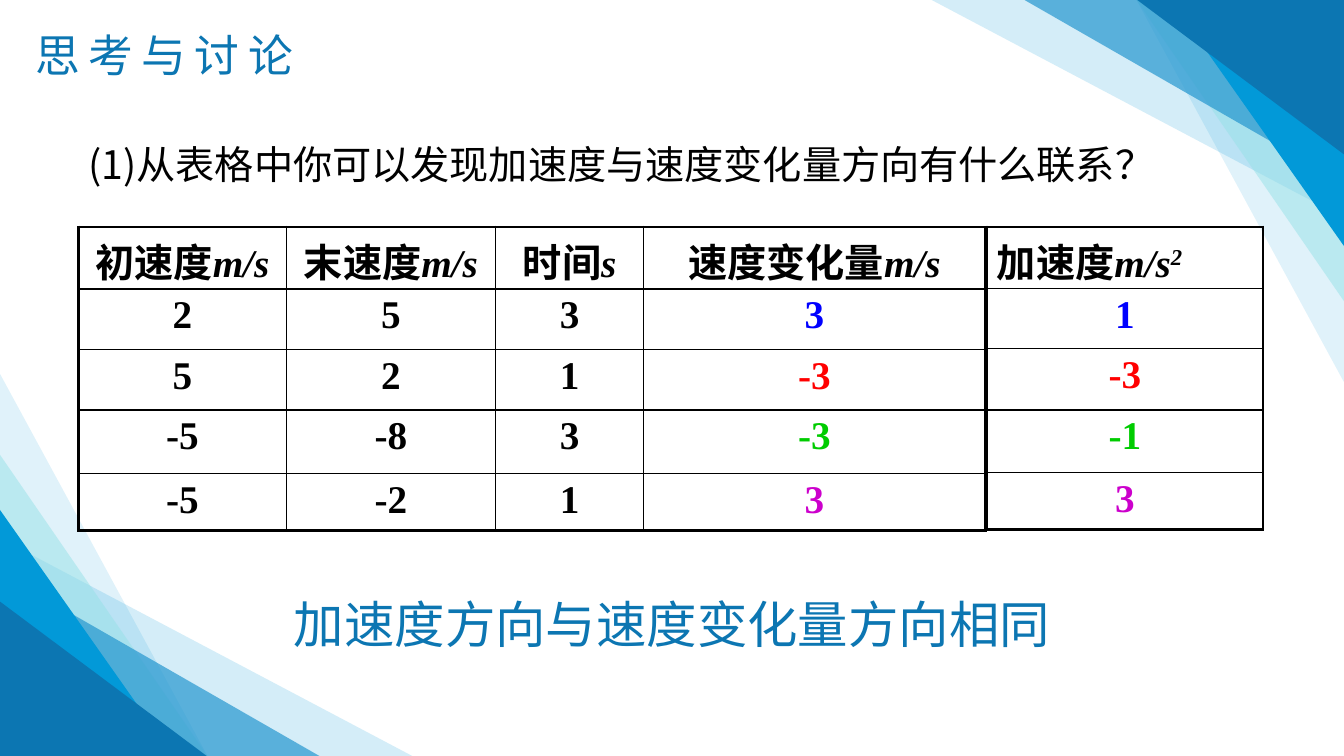
from lxml import etree
from pptx import Presentation
from pptx import util as u
from pptx.dml import color
from pptx.enum import shapes, text
from pptx.oxml import ns

SANS, SERIF = "Noto Sans CJK SC", "Times New Roman"
BLACK, BLUE = "000000", "0C76B2"
WIDTH, HEIGHT = 33.87, 19.05
ROW_COLORS = ["0000FF", "FF0000", "00CC00", "CC00CC"]
TRIANGLES = [
    (5.23, 9.63, "0299D8", 12),
    (10.39, 5.49, "0299D8", 17),
    (5.23, 7.59, "95E1E7", 50),
    (8.05, 4.62, "2094CE", 68),
    (4.37, 6.2, "0299D8", 100),
    (5.21, 3.89, BLUE, 100),
]
GIVEN_HEADS = [("初速度", "m/s", ""), ("末速度", "m/s", ""),
               ("时间", "s", ""), ("速度变化量", "m/s", "")]
GIVEN_ROWS = [("2", "5", "3", "3"), ("5", "2", "1", "-3"),
              ("-5", "-8", "3", "-3"), ("-5", "-2", "1", "3")]
ACCELERATION_HEADS = [("加速度", "m/s", "2")]
ACCELERATION_ROWS = [("1",), ("-3",), ("-1",), ("3",)]


def rgb(value):
    """Turn a hex string into a colour."""
    return color.RGBColor.from_string(value)


def add_span(para, words, size=28, font=SANS, tint=BLACK, bold=False,
             italic=False, spacing=0, raised=False):
    """Append formatted text to a paragraph."""
    span = para.add_run()
    span.text = words
    span.font.size = u.Pt(size)
    span.font.name = font
    span.font.bold = bold
    span.font.italic = italic
    span.font.color.rgb = rgb(tint)
    props = span.font._element
    etree.SubElement(props, ns.qn("a:ea")).set("typeface", SANS)
    if spacing:
        props.set("spc", str(spacing * 100))
    if raised:
        props.set("baseline", "30000")


def add_line(page, box, words, align=text.PP_ALIGN.LEFT, **style):
    """Place one line of text, centred vertically in its box."""
    frame = page.shapes.add_textbox(*map(u.Cm, box)).text_frame
    frame.word_wrap = True
    frame.margin_top = frame.margin_bottom = 0
    frame.vertical_anchor = text.MSO_ANCHOR.MIDDLE
    para = frame.paragraphs[0]
    para.alignment = align
    add_span(para, words, **style)


def add_corner(page, box, turned):
    """Layer translucent triangles into the lower left or, turned, the upper right corner of the box."""
    left, top, width, height = box
    group = page.shapes.add_group_shape()
    for across, tall, tint, opacity in TRIANGLES:
        x = left + width - across if turned else left
        y = top if turned else top + height - tall
        triangle = group.shapes.add_shape(
            shapes.MSO_SHAPE.RIGHT_TRIANGLE, *map(u.Cm, (x, y, across, tall)))
        triangle.rotation = 180 if turned else 0
        triangle.shadow.inherit = False
        triangle.line.fill.background()
        triangle.fill.solid()
        triangle.fill.fore_color.rgb = rgb(tint)
        if opacity < 100:
            tone = triangle._element.spPr.find(".//" + ns.qn("a:srgbClr"))
            etree.SubElement(tone, ns.qn("a:alpha")).set("val", str(opacity * 1000))


def set_borders(cell, widths):
    """Draw the left, right, top and bottom borders of a cell."""
    props = cell._tc.get_or_add_tcPr()
    for side, width in zip("LRTB", widths):
        line = etree.SubElement(props, ns.qn("a:ln" + side), w=str(u.Pt(width)))
        fill = etree.SubElement(line, ns.qn("a:solidFill"))
        etree.SubElement(fill, ns.qn("a:srgbClr"), val=BLACK)


def fill_cell(cell, words, tint, align):
    """Write a heading with its unit, or a single value, in a cell."""
    cell.margin_bottom = 0
    para = cell.text_frame.paragraphs[0]
    para.alignment = align
    if isinstance(words, str):
        add_span(para, words, font=SERIF, tint=tint, bold=True)
        return
    name, unit, power = words
    add_span(para, name, font=SERIF, bold=True)
    add_span(para, unit, font=SERIF, bold=True, italic=True)
    if power:
        add_span(para, power, font=SERIF, bold=True, italic=True, raised=True)


def add_grid(page, box, heads, rows, widths, heights, head_align):
    """Build a thick-framed table whose last column is coloured by row."""
    lines = [heads] + rows
    last_row, last_col = len(lines) - 1, len(heads) - 1
    table = page.shapes.add_table(
        len(lines), len(heads), *map(u.Cm, box)).table
    table.first_row = table.horz_banding = False
    for column, width in zip(table.columns, widths):
        column.width = u.Cm(width)
    for r, line in enumerate(lines):
        table.rows[r].height = u.Cm(heights[r])
        for c, words in enumerate(line):
            cell = table.cell(r, c)
            edges = (c == 0, c == last_col, r == 0, r == last_row)
            set_borders(cell, [2.25 if edge else 1 for edge in edges])
            cell.fill.background()
            tint = ROW_COLORS[r - 1] if r and c == last_col else BLACK
            align = text.PP_ALIGN.CENTER if r else head_align
            fill_cell(cell, words, tint, align)


def build_discussion(page, box):
    """Fill the slide with corners, question, tables and conclusion."""
    left, top, width, height = box
    add_corner(page, box, turned=False)
    add_corner(page, box, turned=True)
    add_line(page, (left + 0.64, top + 0.56, 11.07, 1.63), "思考与讨论",
             size=32, tint=BLUE, spacing=6)
    add_line(page, (left + 1.98, top + 3.4, 26.77, 1.45),
             "(1)从表格中你可以发现加速度与速度变化量方向有什么联系？")
    add_grid(page, (left + 1.98, top + 5.72, 22.85, 7.65), GIVEN_HEADS, GIVEN_ROWS,
             [5.23, 5.28, 3.73, 8.61], [1.56, 1.52, 1.53, 1.6, 1.44],
             text.PP_ALIGN.CENTER)
    add_grid(page, (left + 24.87, top + 5.72, 6.96, 7.62), ACCELERATION_HEADS,
             ACCELERATION_ROWS, [6.96], [1.54, 1.53, 1.54, 1.57, 1.44],
             text.PP_ALIGN.LEFT)
    add_line(page, (left + 6.76, top + 14.78, 20.35, 1.88),
             "加速度方向与速度变化量方向相同",
             align=text.PP_ALIGN.CENTER, size=36, tint=BLUE)


def main():
    """Create and save the deck."""
    deck = Presentation()
    deck.slide_width, deck.slide_height = u.Cm(WIDTH), u.Cm(HEIGHT)
    page = deck.slides.add_slide(deck.slide_layouts[6])
    build_discussion(page, (0, 0, WIDTH, HEIGHT))
    deck.save("out.pptx")


if __name__ == "__main__":
    main()
